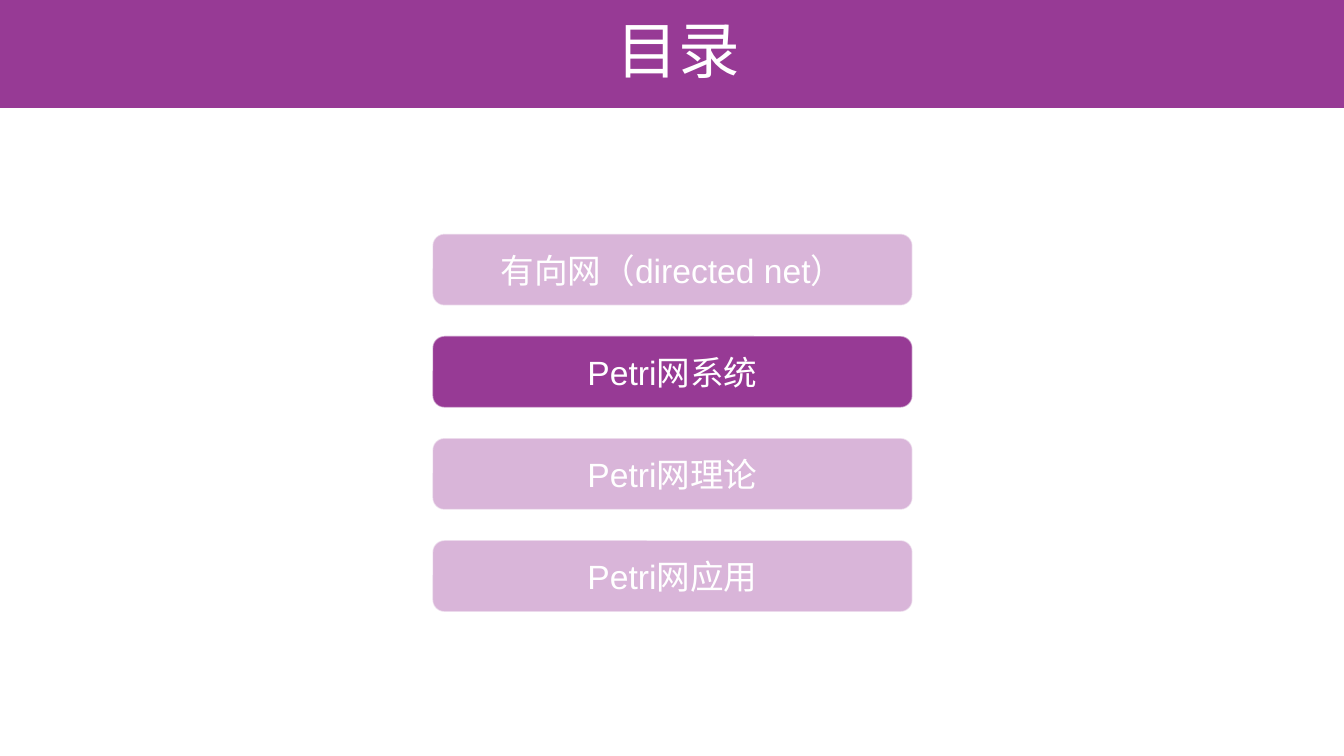
from lxml.etree import SubElement
from pptx import Presentation
from pptx.dml.color import RGBColor
from pptx.enum.shapes import MSO_SHAPE
from pptx.enum.text import MSO_ANCHOR, PP_ALIGN
from pptx.oxml.ns import qn
from pptx.util import Inches, Pt

COLORS = {"purple": "973A95", "faded": "993899", "white": "FFFFFF"}
CHINESE_FONT = "Noto Sans CJK SC"


def set_alpha(fill_format, percent):
    color = fill_format._xPr.find(qn("a:solidFill"))[0]
    SubElement(color, qn("a:alpha"), val=str(percent * 1000))


def write_text(box, text, size, font_name):
    box.text_frame.vertical_anchor = MSO_ANCHOR.MIDDLE
    para = box.text_frame.paragraphs[0]
    para.alignment = PP_ALIGN.CENTER
    span = para.add_run()
    span.text = text
    span.font.size = Pt(size)
    span.font.name = font_name
    span.font.color.rgb = RGBColor.from_string(COLORS["white"])
    SubElement(span.font._element, qn("a:ea"), typeface=CHINESE_FONT)
    return para


deck = Presentation()
deck.slide_width, deck.slide_height = Inches(13.33), Inches(7.5)
page = deck.slides.add_slide(deck.slide_layouts[5])

band = page.shapes.add_shape(
    MSO_SHAPE.RECTANGLE, 0, Inches(-0.01), deck.slide_width, Inches(1.08)
)
band.shadow.inherit = False
band.fill.solid()
band.fill.fore_color.rgb = RGBColor.from_string(COLORS["purple"])
band.line.fill.background()

title = page.shapes.title
title.left, title.top = Inches(0.13), Inches(0)
title.width, title.height = Inches(13.2), Inches(1.07)
band._element.addnext(title._element)
title_para = write_text(title, "目录", 44, CHINESE_FONT)
title_para.line_spacing = 0.9

chapters = ["有向网（directed net）", "Petri网系统", "Petri网理论", "Petri网应用"]
current_chapter = "Petri网系统"
for index, chapter in enumerate(chapters):
    box = page.shapes.add_shape(
        MSO_SHAPE.ROUNDED_RECTANGLE,
        Inches(4.29), Inches(2.32 + index * 1.0133), Inches(4.76), Inches(0.71),
    )
    box.shadow.inherit = False
    box.fill.solid()
    if chapter == current_chapter:
        box.fill.fore_color.rgb = RGBColor.from_string(COLORS["purple"])
    else:
        box.fill.fore_color.rgb = RGBColor.from_string(COLORS["faded"])
        set_alpha(box.fill, 37)
    box.line.width = Pt(1)
    box.line.color.rgb = RGBColor.from_string(COLORS["white"])
    set_alpha(box.line.fill, 50)
    write_text(box, chapter, 24, "Arial")

deck.save("out.pptx")
